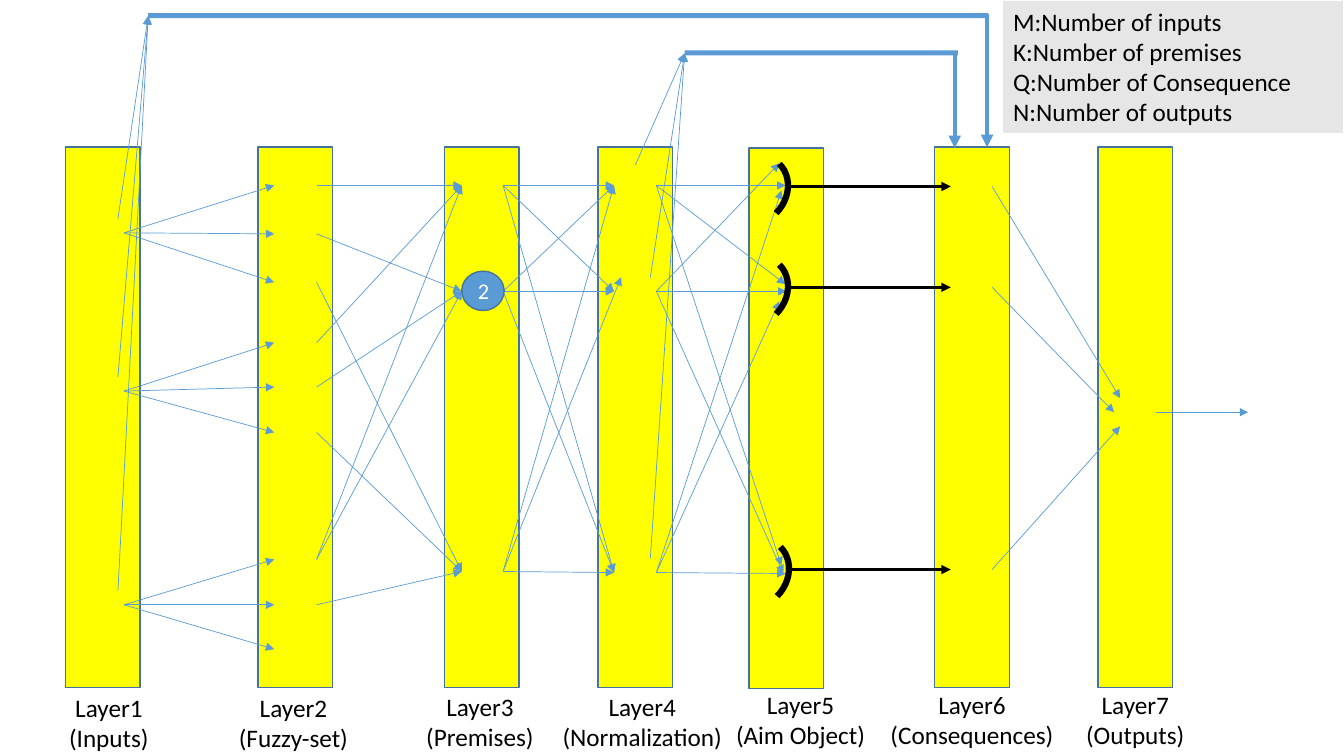
from lxml import etree
from pptx import Presentation
from pptx.dml.color import RGBColor
from pptx.enum.shapes import MSO_CONNECTOR, MSO_SHAPE
from pptx.enum.text import MSO_ANCHOR, PP_ALIGN
from pptx.oxml.ns import qn
from pptx.util import Inches, Pt

STRAIGHT = MSO_CONNECTOR.STRAIGHT
RECT, OVAL, ARC = MSO_SHAPE.RECTANGLE, MSO_SHAPE.OVAL, MSO_SHAPE.ARC
LEFT, CENTER = PP_ALIGN.LEFT, PP_ALIGN.CENTER
TOP, MIDDLE = MSO_ANCHOR.TOP, MSO_ANCHOR.MIDDLE

FONT = "Calibri"
COLORS = {
    "bar": "FFFF00",
    "edge": "43739E",
    "blue": "5B9BD5",
    "black": "000000",
    "white": "FFFFFF",
    "gray": "E7E6E6",
}

# Bar left, bar top, label centre, label top, label lines
LAYERS = [
    (0.65, 1.46, 1.08, 6.82, ["Layer1", "(Inputs)"]),
    (2.56, 1.46, 2.91, 6.82, ["Layer2", "(Fuzzy-set)"]),
    (4.41, 1.46, 4.76, 6.81, ["Layer3", "(Premises)"]),
    (5.93, 1.46, 6.37, 6.81, ["Layer4", "(Normalization)"]),
    (7.43, 1.47, 7.94, 6.79, ["Layer5", "(Aim Object)"]),
    (9.27, 1.46, 9.64, 6.79, ["Layer6", "(Consequences)"]),
    (10.89, 1.46, 11.26, 6.79, ["Layer7", "(Outputs)"]),
]
BAR_W, BAR_H = 0.74, 5.36
LABEL_W, LABEL_H = 2.12, 0.71

# Node heights: each input feeds three fuzzy sets
INPUTS = {2.31: (1.84, 2.32, 2.8), 3.88: (3.4, 3.84, 4.29), 6: (5.55, 6, 6.44)}
# Each premise takes three fuzzy sets
PREMISES = {1.84: (1.84, 3.4, 5.55), 2.89: (2.32, 3.84, 5.55), 5.67: (2.8, 4.29, 6)}
# Each premise feeds these points of layer 4
NORMS = {
    1.84: [(6.09, 1.84), (6.09, 2.89), (6.09, 5.68)],
    2.89: [(6.09, 1.84), (6.09, 2.89), (6.09, 5.68)],
    5.67: [(6.09, 1.84), (6.16, 2.75), (6.09, 5.68)],
}
# Each layer 4 node feeds these points of layer 5
AIMS = {
    1.84: [(7.79, 1.84), (7.79, 2.82), (7.75, 5.61)],
    2.89: [(7.73, 1.62), (7.8, 2.89), (7.77, 5.69)],
    5.68: [(7.75, 1.89), (7.73, 2.99), (7.79, 5.69)],
}
# Arc left and row height, then the point of layer 7 that the row reaches
ROWS = [
    (7.15, 1.85, (11.11, 3.95)),
    (7.15, 2.85, (11.05, 4.09)),
    (7.16, 5.65, (11.11, 4.23)),
]
# Bus start, bus height, bus end, drop x, drop end, feeding points
BUSES = [
    (1.47, 0.16, 9.8, 9.79, 1.46, [(1.17, 2.17), (1.17, 3.74), (1.17, 5.86)]),
    (6.79, 0.53, 9.5, 9.47, 1.47, [(6.3, 1.64), (6.45, 2.75), (6.45, 5.54)]),
]
LEGEND = [
    "M:Number of inputs",
    "K:Number of premises",
    "Q:Number of Consequence",
    "N:Number of outputs",
]


def rgb(name):
    return RGBColor.from_string(COLORS[name])


def add_shape(slide, kind, x, y, w, h, fill=None, line=None, width=1):
    shape = slide.shapes.add_shape(kind, Inches(x), Inches(y), Inches(w), Inches(h))
    shape.shadow.inherit = False
    if fill:
        shape.fill.solid()
        shape.fill.fore_color.rgb = rgb(fill)
    else:
        shape.fill.background()
    if line:
        shape.line.color.rgb = rgb(line)
        shape.line.width = Pt(width)
    else:
        shape.line.fill.background()
    return shape


def add_arrow(slide, start, end, color="blue", width=0.5):
    ends = [Inches(v) for v in (*start, *end)]
    arrow = slide.shapes.add_connector(STRAIGHT, *ends)
    arrow.line.color.rgb = rgb(color)
    arrow.line.width = Pt(width)
    props = arrow._element.spPr
    etree.SubElement(props.find(qn("a:ln")), qn("a:tailEnd"), type="triangle")
    etree.SubElement(props, qn("a:effectLst"))


def add_text(shape, lines, size=18, color="black", align=LEFT, anchor=TOP, wrap=True):
    frame = shape.text_frame
    frame.word_wrap = wrap
    frame.vertical_anchor = anchor
    for i, line in enumerate(lines):
        para = frame.add_paragraph() if i else frame.paragraphs[0]
        para.alignment = align
        run = para.add_run()
        run.text = line
        run.font.name = FONT
        run.font.size = Pt(size)
        run.font.color.rgb = rgb(color)


def add_layer(slide, x, y, mid, top, lines):
    add_shape(slide, RECT, x, y, BAR_W, BAR_H, "bar", "edge")
    box = slide.shapes.add_textbox(
        Inches(mid - LABEL_W / 2), Inches(top), Inches(LABEL_W), Inches(LABEL_H)
    )
    add_text(box, lines, align=CENTER, wrap=False)


def add_row(slide, x, y, goal):
    arc = add_shape(slide, ARC, x, y - 0.33, 0.64, 0.74, line="black", width=4.5)
    arc.rotation = 44.6
    add_arrow(slide, (x + 0.66, y), (9.43, y), "black", 2.25)
    add_arrow(slide, (9.84, y), goal)


def add_bus(slide, x, y, end, drop, base, feeds):
    for feed in feeds:
        add_arrow(slide, feed, (x, y))
    add_shape(slide, RECT, x, y - 0.03, end - x, 0.05, "blue")
    add_arrow(slide, (drop, y - 0.02), (drop, base), width=3)


def main():
    prs = Presentation()
    prs.slide_width, prs.slide_height = Inches(13.33), Inches(7.5)
    slide = prs.slides.add_slide(prs.slide_layouts[6])

    # Layers
    for layer in LAYERS:
        add_layer(slide, *layer)

    # Links from layer 1 to layer 5
    for y, sets in INPUTS.items():
        for goal in sets:
            add_arrow(slide, (1.23, y), (2.72, goal))
    for y, sets in PREMISES.items():
        for start in sets:
            add_arrow(slide, (3.14, start), (4.58, y))
    for x, links in ((4.99, NORMS), (6.51, AIMS)):
        for y, goals in links.items():
            for goal in goals:
                add_arrow(slide, (x, y), goal)

    # Premise node
    node = add_shape(slide, OVAL, 4.58, 2.69, 0.42, 0.39, "blue", "edge")
    add_text(node, ["2"], 16, "white", CENTER, MIDDLE)

    # Links from layer 5 to the output
    for row in ROWS:
        add_row(slide, *row)
    add_arrow(slide, (11.47, 4.09), (12.38, 4.09))

    # Buses over the layers
    for bus in BUSES:
        add_bus(slide, *bus)

    # Legend
    legend = add_shape(slide, RECT, 9.95, 0.01, 3.37, 1.31, "gray")
    add_text(legend, LEGEND)

    prs.save("out.pptx")


if __name__ == "__main__":
    main()
